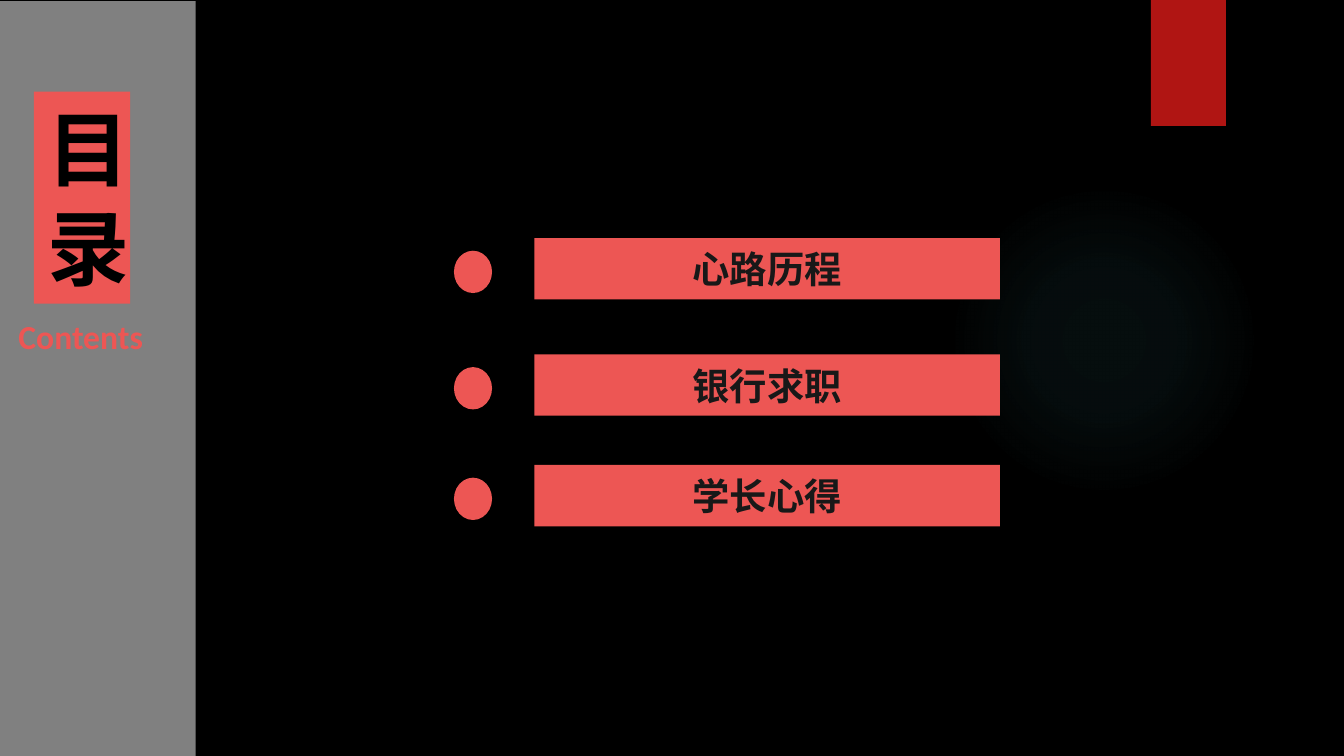
from dataclasses import dataclass

from lxml import etree
from pptx import Presentation
from pptx.dml.color import RGBColor
from pptx.enum.shapes import MSO_SHAPE
from pptx.enum.text import MSO_ANCHOR, MSO_AUTO_SIZE, PP_ALIGN
from pptx.oxml.ns import qn
from pptx.util import Cm, Pt

RECTANGLE, OVAL = MSO_SHAPE.RECTANGLE, MSO_SHAPE.OVAL
TOP, MIDDLE = MSO_ANCHOR.TOP, MSO_ANCHOR.MIDDLE
LEFT, CENTER = PP_ALIGN.LEFT, PP_ALIGN.CENTER
NO_FIT = MSO_AUTO_SIZE.NONE
TITLE_ONLY = 5


@dataclass(frozen=True)
class Theme:
    background: str = "000000"
    sidebar: str = "FFFFFF"
    accent: str = "ED5654"
    ribbon: str = "B01513"
    glow: str = "50B9C1"
    title_text: str = "000000"
    chapter_text: str = "181818"
    latin_font: str = "Calibri"
    chinese_font: str = "Noto Sans CJK SC"
    title_size: int = 44
    title_line: int = 53
    chapter_size: int = 20
    subtitle_size: int = 18


@dataclass(frozen=True)
class Box:
    """Position and size in centimetres."""
    left: float
    top: float
    width: float
    height: float

    def lengths(self) -> tuple:
        return Cm(self.left), Cm(self.top), Cm(self.width), Cm(self.height)


@dataclass(frozen=True)
class Chapter:
    name: str
    top: float


THEME = Theme()
CHAPTERS = (
    Chapter("心路历程", 4.5),
    Chapter("银行求职", 6.7),
    Chapter("学长心得", 8.79),
)


def paint(shape, color: str) -> None:
    shape.fill.solid()
    shape.fill.fore_color.rgb = RGBColor.from_string(color)


def add_block(slide, kind, box: Box, color: str):
    block = slide.shapes.add_shape(kind, *box.lengths())
    block.shadow.inherit = False
    block.line.fill.background()
    paint(block, color)
    return block


def set_alpha(color_element, percent: int) -> None:
    alpha = etree.SubElement(color_element, qn("a:alpha"))
    alpha.set("val", str(percent * 1000))


def add_glow(slide, box: Box) -> None:
    """Draw a faint round light that fades out towards its rim."""
    glow = add_block(slide, OVAL, box, THEME.glow)
    gradient = etree.Element(qn("a:gradFill"))
    stops = etree.SubElement(gradient, qn("a:gsLst"))
    for position, opacity in ((0, 7), (36, 6), (69, 0)):
        stop = etree.SubElement(stops, qn("a:gs"), pos=str(position * 1000))
        set_alpha(etree.SubElement(stop, qn("a:srgbClr"), val=THEME.glow), opacity)
    radial = etree.SubElement(gradient, qn("a:path"), path="circle")
    etree.SubElement(radial, qn("a:fillToRect"),
                     {side: "50000" for side in "ltrb"})
    properties = glow.element.spPr
    properties.replace(properties.find(qn("a:solidFill")), gradient)


def write(shape, text: str, font: str, size: int, color: str,
          align=LEFT, anchor=TOP, wrap: bool = True):
    frame = shape.text_frame
    frame.auto_size = NO_FIT
    frame.word_wrap = wrap
    frame.vertical_anchor = anchor
    paragraph = frame.paragraphs[0]
    paragraph.alignment = align
    run = paragraph.add_run()
    run.text = text
    run.font.name = font
    run.font.size = Pt(size)
    run.font.bold = True
    run.font.color.rgb = RGBColor.from_string(color)
    # Chinese characters take the East Asian typeface
    etree.SubElement(run.font._element, qn("a:ea"), typeface=font)
    return paragraph


def add_title(slide, text: str, box: Box) -> None:
    title = slide.shapes.title
    title.left, title.top, title.width, title.height = box.lengths()
    paint(title, THEME.accent)
    paragraph = write(title, text, THEME.chinese_font, THEME.title_size,
                      THEME.title_text)
    paragraph.line_spacing = Pt(THEME.title_line)
    # Bring the title in front of the sidebar
    slide.shapes._spTree.append(title.element)


def add_chapter(slide, chapter: Chapter) -> None:
    add_block(slide, OVAL, Box(8.58, chapter.top + 0.24, 0.72, 0.8), THEME.accent)
    bar = add_block(slide, RECTANGLE, Box(10.1, chapter.top, 8.8, 1.16), THEME.accent)
    write(bar, chapter.name, THEME.chinese_font, THEME.chapter_size,
          THEME.chapter_text, CENTER, MIDDLE)


def main() -> None:
    deck = Presentation()
    deck.slide_width, deck.slide_height = Cm(25.4), Cm(14.29)
    slide = deck.slides.add_slide(deck.slide_layouts[TITLE_ONLY])
    paint(slide.background, THEME.background)

    # Backdrop
    add_glow(slide, Box(17.93, 3.5, 5.87, 5.87))
    add_block(slide, RECTANGLE, Box(21.75, 0, 1.42, 2.38), THEME.ribbon)
    sidebar = add_block(slide, RECTANGLE, Box(0, 0.02, 3.7, 14.27), THEME.sidebar)
    set_alpha(sidebar.element.spPr.find(qn("a:solidFill"))[0], 50)

    # Sidebar heading
    subtitle = slide.shapes.add_textbox(*Box(0.1, 5.84, 2.87, 1.02).lengths())
    write(subtitle, "Contents", THEME.latin_font, THEME.subtitle_size,
          THEME.accent, wrap=False)
    add_title(slide, "目录", Box(0.64, 1.73, 1.82, 4.01))

    # Chapter list
    for chapter in CHAPTERS:
        add_chapter(slide, chapter)

    deck.save("out.pptx")


if __name__ == "__main__":
    main()
